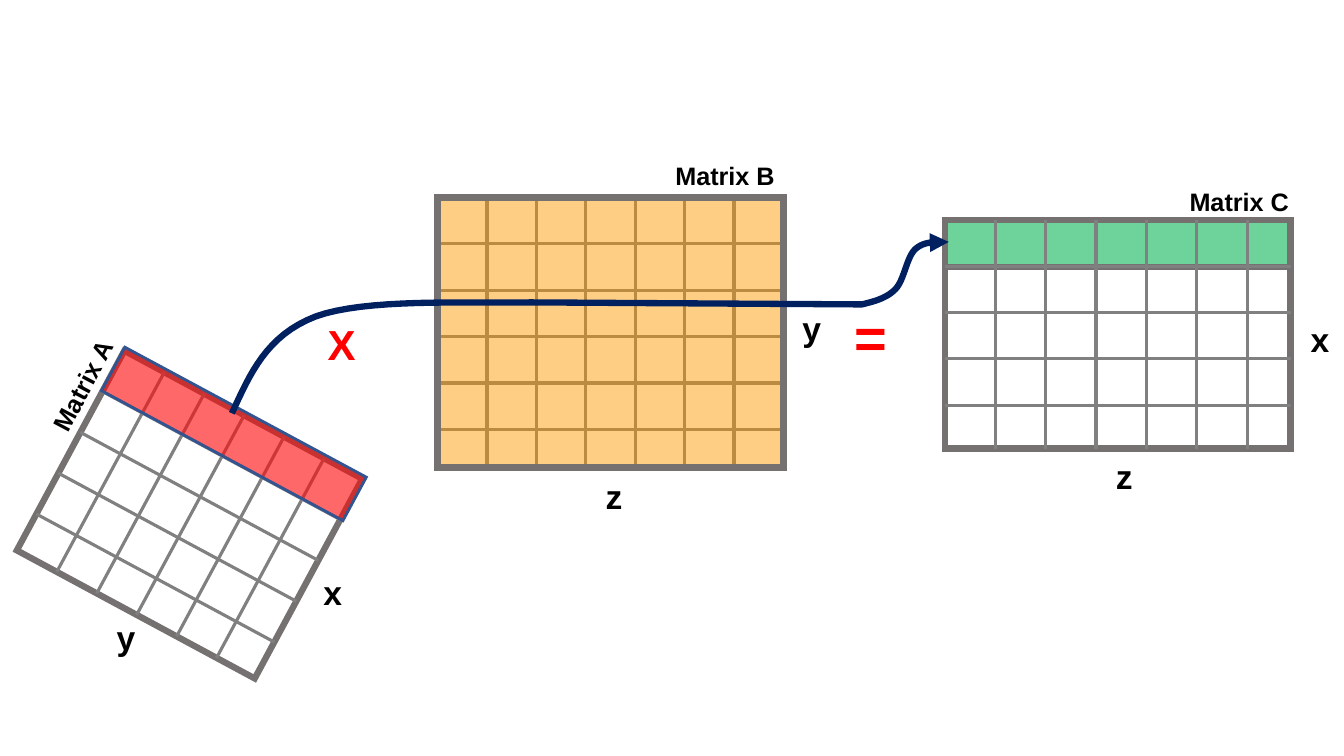
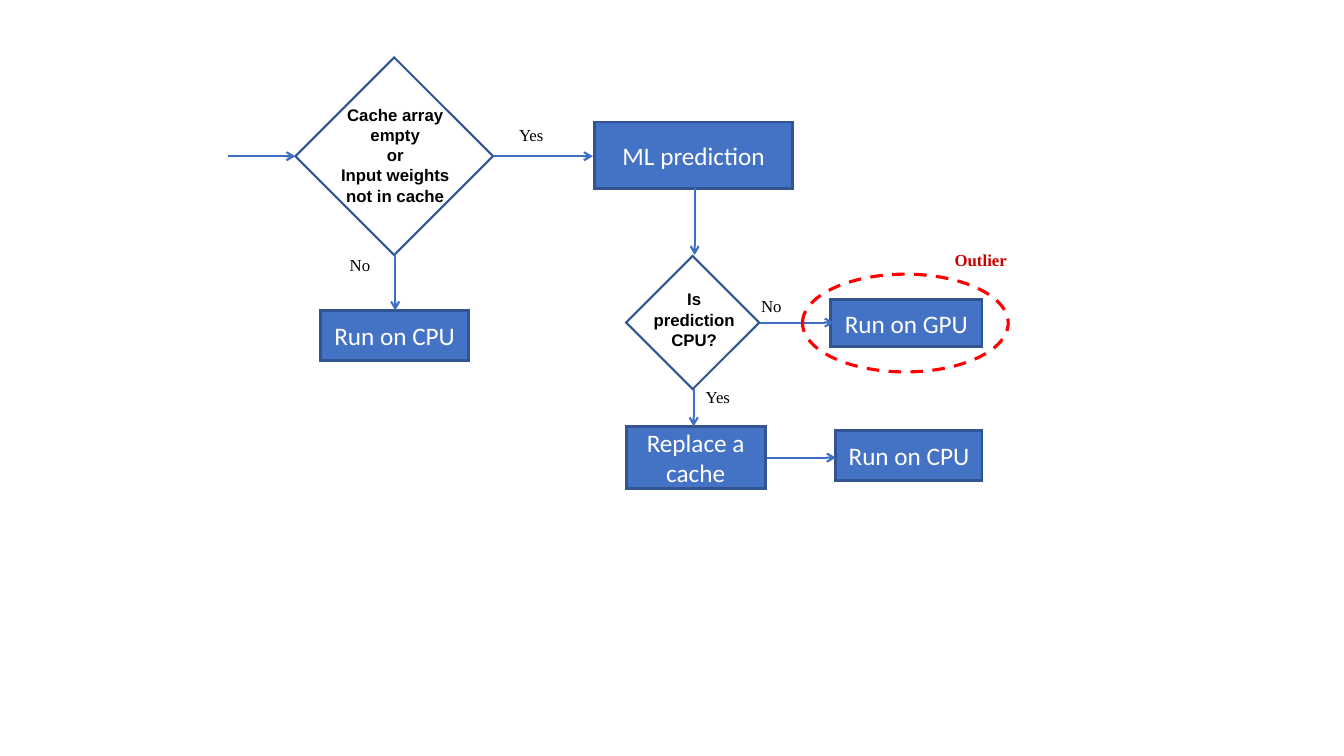
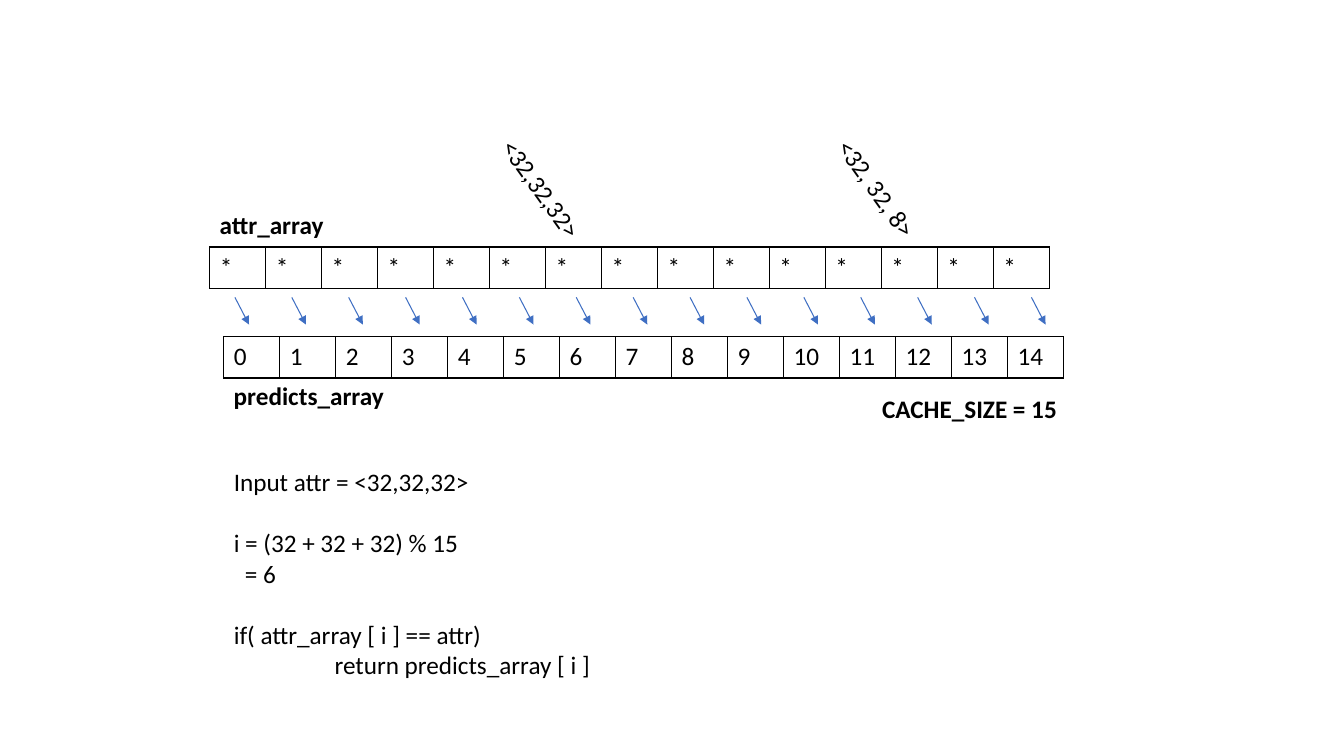
from math import cos, radians, sin

from lxml.etree import SubElement
from pptx import Presentation
from pptx.dml.color import RGBColor
from pptx.enum.dml import MSO_LINE
from pptx.enum.shapes import MSO_CONNECTOR, MSO_SHAPE as SHAPE
from pptx.enum.text import MSO_ANCHOR, PP_ALIGN as ALIGN
from pptx.oxml.ns import qn
from pptx.util import Inches, Pt

COLORS = {
    "white": "FFFFFF", "black": "000000", "frame": "767171", "grid": "808080",
    "red": "FF0000", "row": "FF0909", "green": "00B050", "orange": "FF9900",
    "navy": "002060", "box": "4472C4", "edge": "325491", "arrow": "3F6FC3",
    "outlier": "CC0000",
}

# Matrix multiplication: frame and highlight are left, top, width, height
MATRICES = [
    dict(frame=(9.37, 2.18, 3.43, 2.27), cols=7, rows=5, pitch=(0.5, 0.46), angle=0,
         highlight=(9.37, 2.18, 3.43, 0.47), tint=("green", 57),
         edge=("frame", 4.5), grid_on_top=True),
    dict(frame=(0.54, 3.98, 2.68, 2.25), cols=6, rows=5, pitch=(0.45, 0.46), angle=28.3,
         highlight=(0.96, 4.06, 2.72, 0.49), tint=("row", 61),
         edge=("edge", 2), grid_on_top=False),
    dict(frame=(4.34, 1.96, 3.43, 2.68), cols=7, rows=6, pitch=(0.49, 0.46), angle=0,
         highlight=(4.34, 1.96, 3.43, 2.68), tint=("orange", 48),
         edge=("frame", 4.5), grid_on_top=False),
]
DIMENSIONS = [("y", 1.06, 6.07), ("x", 3.11, 5.62), ("z", 10.97, 4.47),
              ("x", 12.9, 3.11), ("z", 5.91, 4.67), ("y", 7.86, 3.01)]
OPERATORS = [("=", (8.38, 2.95, 0.59, 0.77), 40), ("X", (3.15, 3.11, 0.59, 0.6), 30)]
MATRIX_NAMES = [("Matrix B", 6.6, 1.54, 0), ("Matrix A", 0.16, 3.53, 297.9),
                ("Matrix C", 11.7, 1.8, 0)]
FLOW_START = (2.3, 4.1)
FLOW_CURVES = [
    ((2.48, 3.71), (2.64, 3.33), (3.13, 3.14)),
    ((3.62, 2.96), (4.61, 3.01), (5.25, 3)),
    ((5.25, 3), (8.55, 3.02), (8.55, 3.02)),
    ((8.67, 2.99), (8.79, 2.96), (8.88, 2.87)),
    ((8.97, 2.78), (8.99, 2.55), (9.08, 2.47)),
    ((9.17, 2.39), (9.29, 2.4), (9.41, 2.4)),
]

# Cache flowchart
DECISIONS = [
    ((2.93, 0.57, 1.96, 1.96), (3.26, 0.99, 1.32, 1.1),
     ["Cache array empty", "or", "Input weights not in cache"]),
    ((6.21, 2.54, 1.32, 1.32), (6.37, 2.82, 1.03, 0.7), ["Is prediction CPU?"]),
]
STEPS = [
    ("ML prediction", (5.9, 1.21, 1.96, 0.66)),
    ("Run on CPU", (3.18, 3.08, 1.47, 0.5)),
    ("Run on GPU", (8.24, 2.97, 1.5, 0.47)),
    ("Replace a cache", (6.21, 4.23, 1.38, 0.62)),
    ("Run on CPU", (8.29, 4.27, 1.45, 0.5)),
]
FLOW_ARROWS = [
    ((2.26, 1.55), (2.93, 1.55)), ((4.9, 1.55), (5.88, 1.55)),
    ((3.92, 2.51), (3.92, 3.08)), ((6.89, 1.87), (6.89, 2.53)),
    ((6.88, 3.86), (6.88, 4.23)), ((7.54, 3.2), (8.27, 3.2)),
    ((7.61, 4.54), (8.29, 4.54)),
]
ANSWERS = [("Yes", 5.05, 1.19), ("No", 3.37, 2.48), ("No", 7.45, 2.88), ("Yes", 6.9, 3.79)]

# Cache arrays
CACHE_SIZE = 15
ARRAYS = [(["*"] * CACHE_SIZE, 2.08, 2.45),
          ([str(i) for i in range(CACHE_SIZE)], 2.22, 3.34)]
ARRAY_WIDTH, ARRAY_HEIGHT = 8.33, 0.41
ARRAY_LABELS = [
    ("<32, 32, 8>", (7.91, 1.92, 1.94, 0.4), 54.4, False),
    ("<32,32,32>", (4.58, 1.92, 1.94, 0.4), 54.4, False),
    ("CACHE_SIZE = 15", (8.65, 3.85, 2, 0.4), 0, True),
    ("attr_array", (2.08, 2.03, 1.94, 0.4), 0, True),
    ("predicts_array", (2.22, 3.72, 1.94, 0.4), 0, True),
]
# text, left indent in inches, space before in points
LOOKUP = [
    ("Input attr = <32,32,32>", 0, 0),
    ("i = (32 + 32 + 32) % 15", 0, 22),
    ("= 6", 0.11, 0),
    ("if( attr_array [ i ] == attr)", 0, 22),
    ("return predicts_array [ i ]", 1, 0),
]


def rgb(name):
    return RGBColor.from_string(COLORS[name])


def inches(lengths):
    return [Inches(length) for length in lengths]


def style_line(shape, color, width, head=None):
    shape.line.color.rgb = rgb(color)
    shape.line.width = Pt(width)
    if head:
        outline = shape._element.spPr.find(qn("a:ln"))
        SubElement(outline, qn("a:tailEnd"), type=head)


def style_text(paragraph, font, size, color="black", bold=False, align=ALIGN.LEFT):
    paragraph.alignment = align
    paragraph.font.name = font
    paragraph.font.size = Pt(size)
    paragraph.font.bold = bold
    paragraph.font.color.rgb = rgb(color)


def add_text(slide, lines, box, font, size, angle=0, **style):
    label = slide.shapes.add_textbox(*inches(box))
    label.rotation = angle
    frame = label.text_frame
    frame.word_wrap = True
    frame.text = "\n".join(lines)
    for paragraph in frame.paragraphs:
        style_text(paragraph, font, size, **style)
    return frame


def add_figure(slide, preset, box, fill, line, angle=0, alpha=None, dash=None):
    figure = slide.shapes.add_shape(preset, *inches(box))
    figure.shadow.inherit = False
    figure.rotation = angle
    if fill:
        figure.fill.solid()
        figure.fill.fore_color.rgb = rgb(fill)
    else:
        figure.fill.background()
    if alpha:
        tint = figure._element.spPr.find(qn("a:solidFill"))[0]
        SubElement(tint, qn("a:alpha"), val=str(alpha * 1000))
    style_line(figure, *line)
    if dash:
        figure.line.dash_style = dash
    SubElement(figure._element.spPr.find(qn("a:ln")), qn("a:miter"), lim="800000")
    return figure


def add_line(slide, start, end, color, width, head=None):
    line = slide.shapes.add_connector(MSO_CONNECTOR.STRAIGHT, *inches((*start, *end)))
    style_line(line, color, width, head)
    SubElement(line._element.spPr, qn("a:effectLst"))


def add_grid(slide, matrix):
    left, top, width, height = matrix["frame"]
    col, row = matrix["pitch"]
    turn = radians(matrix["angle"])

    def place(x, y):
        """Turn a point, measured from the frame's corner, about its centre."""
        dx, dy = x - width / 2, y - height / 2
        return (left + width / 2 + dx * cos(turn) - dy * sin(turn),
                top + height / 2 + dx * sin(turn) + dy * cos(turn))

    rules = [((i * col, 0), (i * col, height)) for i in range(1, matrix["cols"])]
    rules += [((0, i * row), (width, i * row)) for i in range(1, matrix["rows"])]
    for start, end in rules:
        add_line(slide, place(*start), place(*end), "grid", 2.25)


def add_matrix(slide, matrix):
    angle = matrix["angle"]
    tint, alpha = matrix["tint"]
    add_figure(slide, SHAPE.RECTANGLE, matrix["frame"], "white", ("frame", 4.5), angle)
    if not matrix["grid_on_top"]:
        add_grid(slide, matrix)
    add_figure(slide, SHAPE.RECTANGLE, matrix["highlight"], tint, matrix["edge"], angle, alpha)
    if matrix["grid_on_top"]:
        add_grid(slide, matrix)


def bezier(start, control1, control2, end, steps=16):
    for t in (step / steps for step in range(1, steps + 1)):
        weights = ((1 - t) ** 3, 3 * t * (1 - t) ** 2, 3 * t * t * (1 - t), t ** 3)
        yield tuple(sum(w * p[axis] for w, p in zip(weights, (start, control1, control2, end)))
                    for axis in (0, 1))


def add_flow(slide):
    points, here = [], FLOW_START
    for curve in FLOW_CURVES:
        points += bezier(here, *curve)
        here = curve[-1]
    builder = slide.shapes.build_freeform(*inches(FLOW_START))
    builder.add_line_segments([inches(point) for point in points], close=False)
    flow = builder.convert_to_shape()
    flow.shadow.inherit = False
    flow.fill.background()
    style_line(flow, "navy", 4.5, "triangle")


def build_multiplication(slide):
    for matrix in MATRICES:
        add_matrix(slide, matrix)
    add_flow(slide)
    for name, left, top in DIMENSIONS:
        add_text(slide, [name], (left, top, 0.43, 0.5), "Arial", 24, bold=True)
    for sign, box, size in OPERATORS:
        add_text(slide, [sign], box, "Arial", size, color="red", bold=True)
    for name, left, top, angle in MATRIX_NAMES:
        add_text(slide, [name], (left, top, 1.4, 0.38), "Arial", 18, angle, bold=True)


def build_flowchart(slide):
    for diamond, box, question in DECISIONS:
        add_figure(slide, SHAPE.DIAMOND, diamond, "white", ("edge", 1.5))
        add_text(slide, question, box, "Arial", 12, bold=True, align=ALIGN.CENTER)
    for step, box in STEPS:
        frame = add_figure(slide, SHAPE.RECTANGLE, box, "box", ("edge", 2)).text_frame
        frame.text = step
        frame.word_wrap = True
        frame.vertical_anchor = MSO_ANCHOR.MIDDLE
        style_text(frame.paragraphs[0], "Calibri", 18, "white", align=ALIGN.CENTER)
    for start, end in FLOW_ARROWS:
        add_line(slide, start, end, "arrow", 1.5, "arrow")
    for answer, left, top in ANSWERS:
        add_text(slide, [answer], (left, top, 0.57, 0.3), "Times New Roman", 12)
    add_figure(slide, SHAPE.OVAL, (7.96, 2.72, 2.04, 0.97), None, ("red", 2.25),
               dash=MSO_LINE.DASH)
    add_text(slide, ["Outlier"], (9.37, 2.43, 0.87, 0.3), "Times New Roman", 12,
             color="outlier", bold=True)


def add_borders(cell):
    properties = cell._tc.get_or_add_tcPr()
    for position, side in enumerate(("a:lnL", "a:lnR", "a:lnT", "a:lnB")):
        border = SubElement(properties, qn(side), w=str(Pt(0.96)))
        fill = SubElement(border, qn("a:solidFill"))
        SubElement(fill, qn("a:srgbClr"), val=COLORS["black"])
        properties.insert(position, border)


def add_array(slide, values, left, top):
    box = inches((left, top, ARRAY_WIDTH, ARRAY_HEIGHT))
    table = slide.shapes.add_table(1, len(values), *box).table
    table.first_row = table.horz_banding = False
    for column, cell, value in zip(table.columns, table.iter_cells(), values):
        column.width = Inches(ARRAY_WIDTH / len(values))
        cell.text = value
        style_text(cell.text_frame.paragraphs[0], "Calibri", 18)
        cell.fill.background()
        add_borders(cell)


def build_cache(slide):
    for values, left, top in ARRAYS:
        add_array(slide, values, left, top)
    first, last = 2.33, 10.23
    for i in range(CACHE_SIZE):
        x = first + i * (last - first) / (CACHE_SIZE - 1)
        add_line(slide, (x, 2.95), (x + 0.14, 3.22), "arrow", 0.75, "triangle")
    for label, box, angle, bold in ARRAY_LABELS:
        add_text(slide, [label], box, "Calibri", 18, angle, bold=bold)
    code = add_text(slide, [line for line, _, _ in LOOKUP], (2.22, 4.58, 3.95, 2.3),
                    "Calibri", 18)
    for paragraph, (_, indent, gap) in zip(code.paragraphs, LOOKUP):
        paragraph.space_before = Pt(gap)
        paragraph._p.get_or_add_pPr().set("marL", str(Inches(indent)))


def main():
    deck = Presentation()
    deck.slide_width, deck.slide_height = Inches(13.33), Inches(7.5)
    blank = deck.slide_layouts[6]
    for build in (build_multiplication, build_flowchart, build_cache):
        build(deck.slides.add_slide(blank))
    deck.save("out.pptx")


if __name__ == "__main__":
    main()
